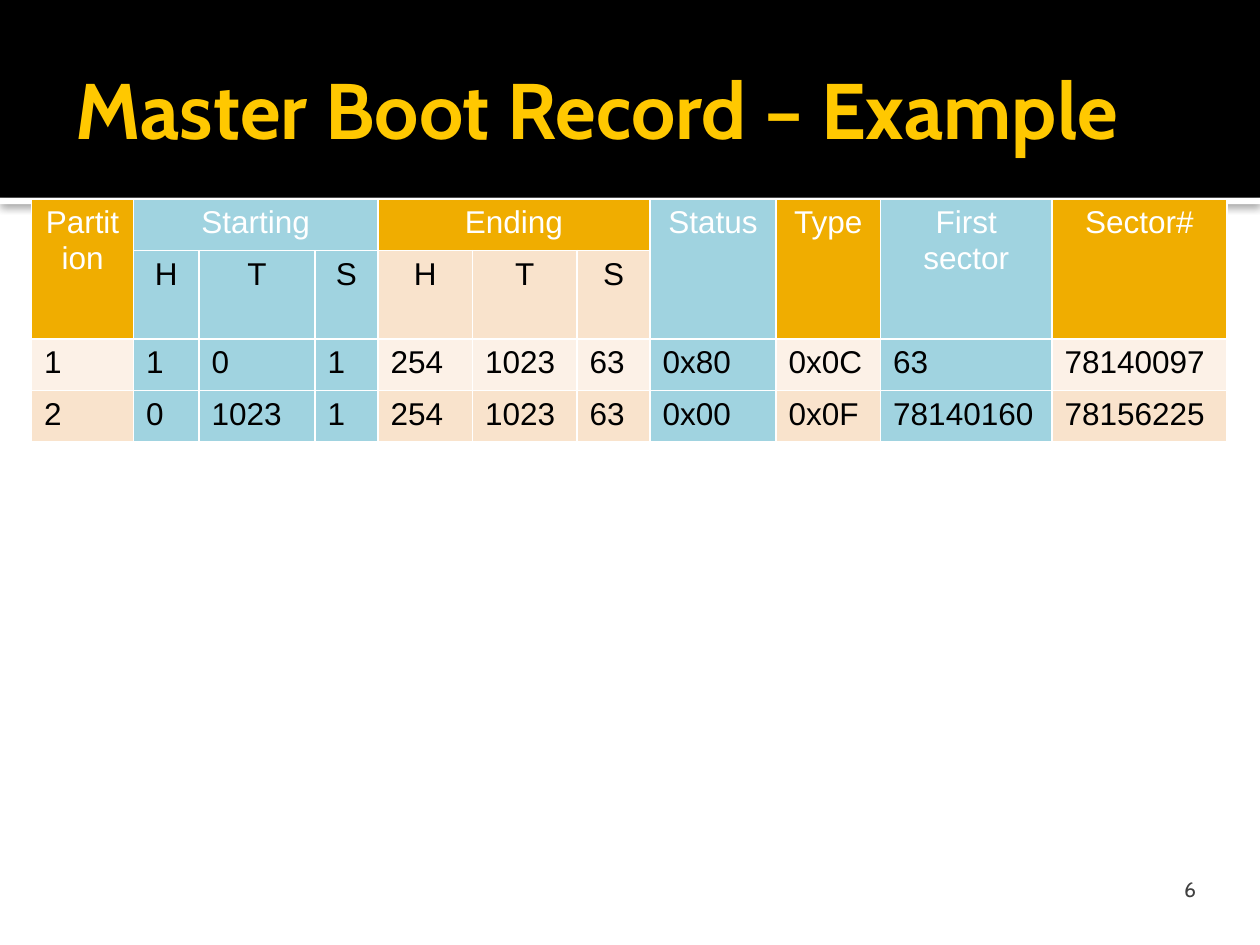
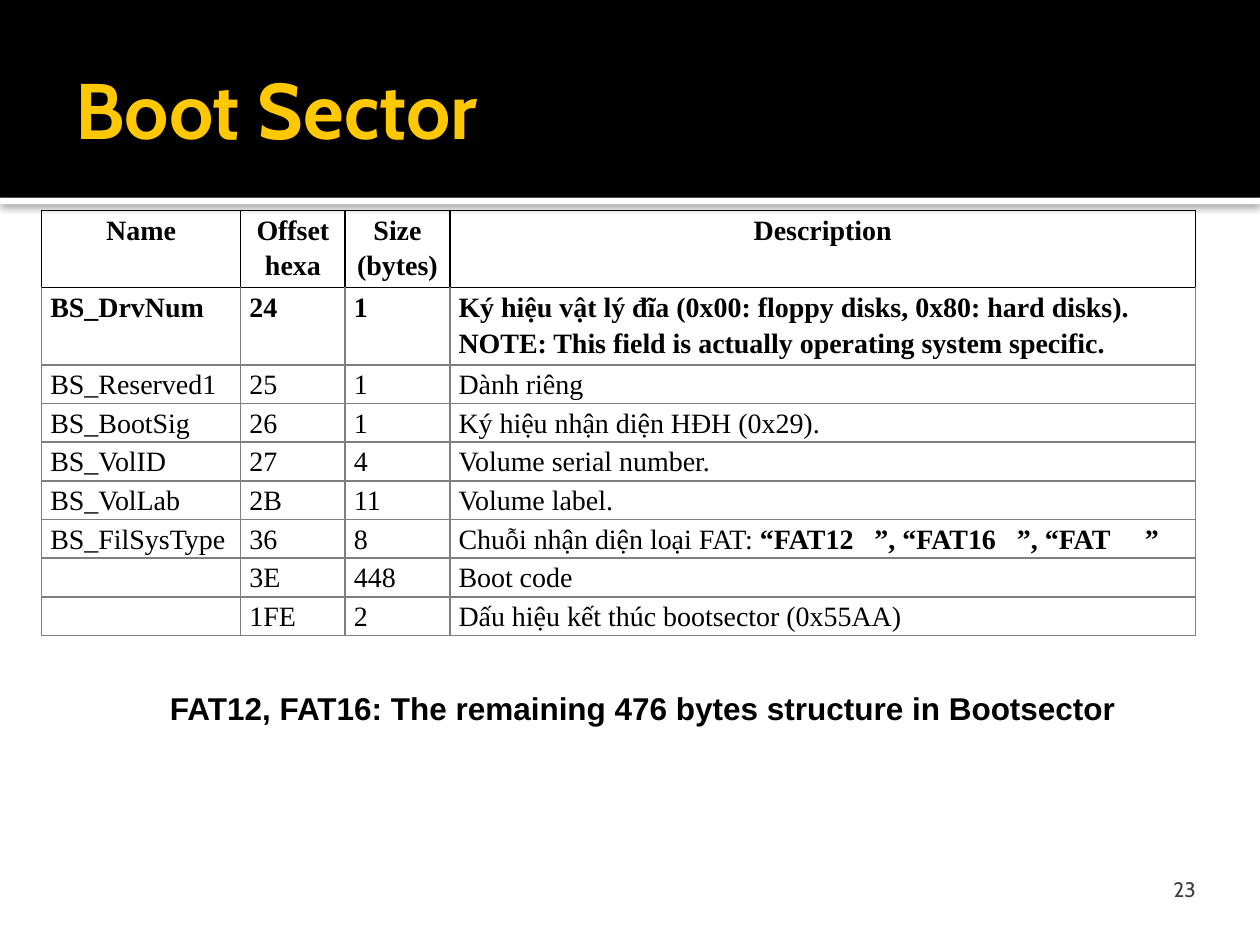
from lxml import etree
from pptx import Presentation
from pptx.dml.color import RGBColor
from pptx.enum import shapes, text
from pptx.oxml import ns
from pptx.util import Inches, Pt

COLORS = {
    "black": "000000", "white": "FFFFFF", "title": "FFC800", "number": "3F3F3F",
    "gold": "F0AD00", "blue": "A0D3E0", "cream": "FCF1E7", "peach": "F9E3CC",
    "gray": "808080",
}
LEFT, CENTER, RIGHT = text.PP_ALIGN.LEFT, text.PP_ALIGN.CENTER, text.PP_ALIGN.RIGHT
TITLE_FONT = {"name": "Cabin", "size": Pt(45), "bold": True}
NUMBER_FONT = {"name": "Cabin", "size": Pt(12), "bold": False}
PARTITION_FONT = {"name": "Arial", "size": Pt(18), "bold": False}
CAPTION_FONT = {"name": "Arial", "size": Pt(18), "bold": True}
FIELD_FONT = {"name": "Times New Roman", "size": Pt(16), "bold": False}

PARTITION_WIDTHS = [0.81, 0.52, 0.92, 0.5, 0.75, 0.83, 0.58, 1, 0.83, 1.36, 1.39]
PARTITION_HEIGHTS = [0.41, 0.66, 0.41, 0.41]
PARTITION_SPANS = [(0, 2, 1), (1, 1, 3), (4, 1, 3), (7, 2, 1), (8, 2, 1), (9, 2, 1), (10, 2, 1)]
BLUE_COLUMNS = {1, 2, 3, 7, 9}
ROW_COLORS = ["gold", "peach", "cream", "peach"]
PARTITIONS = [
    ["Partition", "Starting", None, None, "Ending", None, None,
     "Status", "Type", "First sector", "Sector#"],
    [None, "H", "T", "S", "H", "T", "S", None, None, None, None],
    ["1", "1", "0", "1", "254", "1023", "63", "0x80", "0x0C", "63", "78140097"],
    ["2", "0", "1023", "1", "254", "1023", "63", "0x00", "0x0F", "78140160", "78156225"],
]

FIELD_WIDTHS = [1.58, 0.83, 0.83, 5.92]
FIELD_HEIGHTS = [0.57] * 2 + [0.28] * 7
FIELDS = [
    ["Name", "Offset\nhexa", "Size (bytes)", "Description"],
    ["BS_DrvNum", "24", "1",
     "Ký hiệu vật lý đĩa (0x00: floppy disks, 0x80: hard disks).\n"
     "NOTE: This field is actually operating system specific."],
    ["BS_Reserved1", "25", "1", "Dành riêng"],
    ["BS_BootSig", "26", "1", "Ký hiệu nhận diện HĐH (0x29)."],
    ["BS_VolID", "27", "4", "Volume serial number."],
    ["BS_VolLab", "2B", "11", "Volume label."],
    ["BS_FilSysType", "36", "8",
     "Chuỗi nhận diện loại FAT: **“FAT12   ”, “FAT16   ”, “FAT     ”"],
    ["", "3E", "448", "Boot code"],
    ["", "1FE", "2", "Dấu hiệu kết thúc bootsector (0x55AA)"],
]


def rgb(color):
    return RGBColor.from_string(COLORS[color])


def apply(target, values):
    for name, value in values.items():
        setattr(target, name, value)


def set_insets(target, left, top, right, bottom):
    apply(target, {"margin_left": Inches(left), "margin_top": Inches(top),
                   "margin_right": Inches(right), "margin_bottom": Inches(bottom)})


def write(frame, words, font, color, align=LEFT, spacing=None):
    for index, line in enumerate(words.split("\n")):
        para = frame.add_paragraph() if index else frame.paragraphs[0]
        apply(para, {"alignment": align, "line_spacing": spacing})
        for part, piece in enumerate(line.split("**")):
            span = para.add_run()
            span.text = piece
            apply(span.font, font)
            span.font.color.rgb = rgb(color)
            if part % 2:
                span.font.bold = True


def add_band(page, layout, box, color):
    band = page.shapes.add_shape(shapes.MSO_SHAPE.RECTANGLE, *map(Inches, box))
    band.shadow.inherit = False
    band.fill.solid()
    band.fill.fore_color.rgb = rgb(color)
    band.line.fill.background()
    layout.shapes._spTree.append(band._element)
    return band


def add_header_bands(page, layout):
    stripe = add_band(page, layout, (0, 1.57, 10, 0.05), "white")
    effects = stripe._element.spPr.find(ns.qn("a:effectLst"))
    shadow = etree.SubElement(effects, ns.qn("a:outerShdw"), blurRad=str(Pt(5)),
                              dist=str(Pt(0.8)), dir="5400000", algn="t", rotWithShape="0")
    shade = etree.SubElement(shadow, ns.qn("a:srgbClr"), val=COLORS["black"])
    etree.SubElement(shade, ns.qn("a:alpha"), val="60000")
    add_band(page, layout, (0, 0, 10, 1.57), "black")


def add_text_box(page, box, words, font, color, align, frame_format):
    frame = page.shapes.add_textbox(*map(Inches, box)).text_frame
    apply(frame, frame_format)
    write(frame, words, font, color, align)
    return frame


def add_page(deck, layout, title, number):
    page = deck.slides.add_slide(layout)
    heading = page.shapes.title
    apply(heading, {"left": Inches(0.5), "top": Inches(0.17),
                    "width": Inches(9), "height": Inches(1.37)})
    apply(heading.text_frame, {"vertical_anchor": text.MSO_ANCHOR.MIDDLE, "word_wrap": True,
                               "auto_size": text.MSO_AUTO_SIZE.NONE})
    set_insets(heading.text_frame, 0.1, 0.05, 0.05, 0.05)
    write(heading.text_frame, title, TITLE_FONT, "title")
    frame = add_text_box(page, (8.92, 6.59, 0.67, 0.57), number, NUMBER_FONT, "number", RIGHT,
                         {"vertical_anchor": text.MSO_ANCHOR.BOTTOM, "word_wrap": True})
    set_insets(frame, 0.1, 0.05, 0.1, 0)
    return page


def add_grid(page, left, top, widths, heights):
    grid = page.shapes.add_table(len(heights), len(widths), Inches(left), Inches(top),
                                 Inches(sum(widths)), Inches(sum(heights))).table
    apply(grid, {"first_row": False, "horz_banding": False})
    for column, width in zip(grid.columns, widths):
        column.width = Inches(width)
    for row, height in zip(grid.rows, heights):
        row.height = Inches(height)
    return grid


def set_borders(cell, color, top_color=None):
    properties = cell._tc.get_or_add_tcPr()
    for index, side in enumerate("LRTB"):
        line = etree.Element(ns.qn(f"a:ln{side}"), w=str(Pt(1)))
        fill = etree.SubElement(line, ns.qn("a:solidFill"))
        shade = top_color if side == "T" and top_color else color
        etree.SubElement(fill, ns.qn("a:srgbClr"), val=COLORS[shade])
        properties.insert(index, line)


def add_partition_table(page, left, top):
    grid = add_grid(page, left, top, PARTITION_WIDTHS, PARTITION_HEIGHTS)
    for column, rows, columns in PARTITION_SPANS:
        grid.cell(0, column).merge(grid.cell(rows - 1, column + columns - 1))
    for r, values in enumerate(PARTITIONS):
        for c, value in enumerate(values):
            cell = grid.cell(r, c)
            cell.fill.solid()
            cell.fill.fore_color.rgb = rgb("blue" if c in BLUE_COLUMNS else ROW_COLORS[r])
            set_borders(cell, "white")
            if value is not None:
                write(cell.text_frame, value, PARTITION_FONT, "black" if r else "white",
                      CENTER if r < 2 else LEFT)


def add_field_table(page, left, top):
    grid = add_grid(page, left, top, FIELD_WIDTHS, FIELD_HEIGHTS)
    for r, values in enumerate(FIELDS):
        for c, value in enumerate(values):
            cell = grid.cell(r, c)
            cell.fill.background()
            set_insets(cell, 0.07, 0, 0.07, 0)
            set_borders(cell, "gray" if r else "black", "black" if r == 1 else None)
            write(cell.text_frame, value, FIELD_FONT | {"bold": r < 2}, "black",
                  LEFT if r else CENTER, 1.15)


def main():
    deck = Presentation()
    apply(deck, {"slide_width": Inches(10), "slide_height": Inches(7.5)})
    layout = deck.slide_layouts[5]

    record_page = add_page(deck, layout, "Master Boot Record – Example", "6")
    add_header_bands(record_page, layout)
    add_partition_table(record_page, 0.25, 1.58)

    sector_page = add_page(deck, layout, "Boot Sector", "23")
    add_field_table(sector_page, 0.33, 1.67)
    add_text_box(sector_page, (1.25, 5.42, 7.78, 0.4),
                 "FAT12, FAT16: The remaining 476 bytes structure in Bootsector",
                 CAPTION_FONT, "black", LEFT,
                 {"word_wrap": False, "auto_size": text.MSO_AUTO_SIZE.SHAPE_TO_FIT_TEXT})

    deck.save("out.pptx")


if __name__ == "__main__":
    main()
